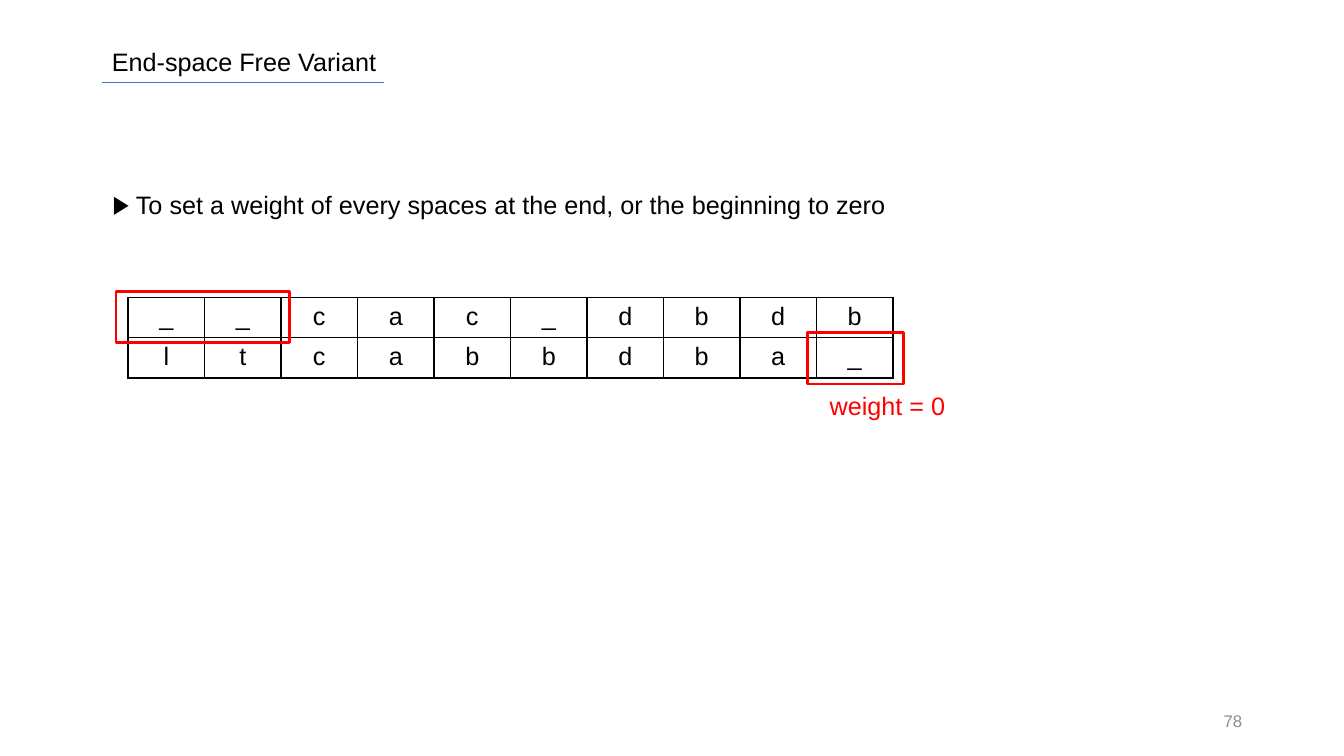
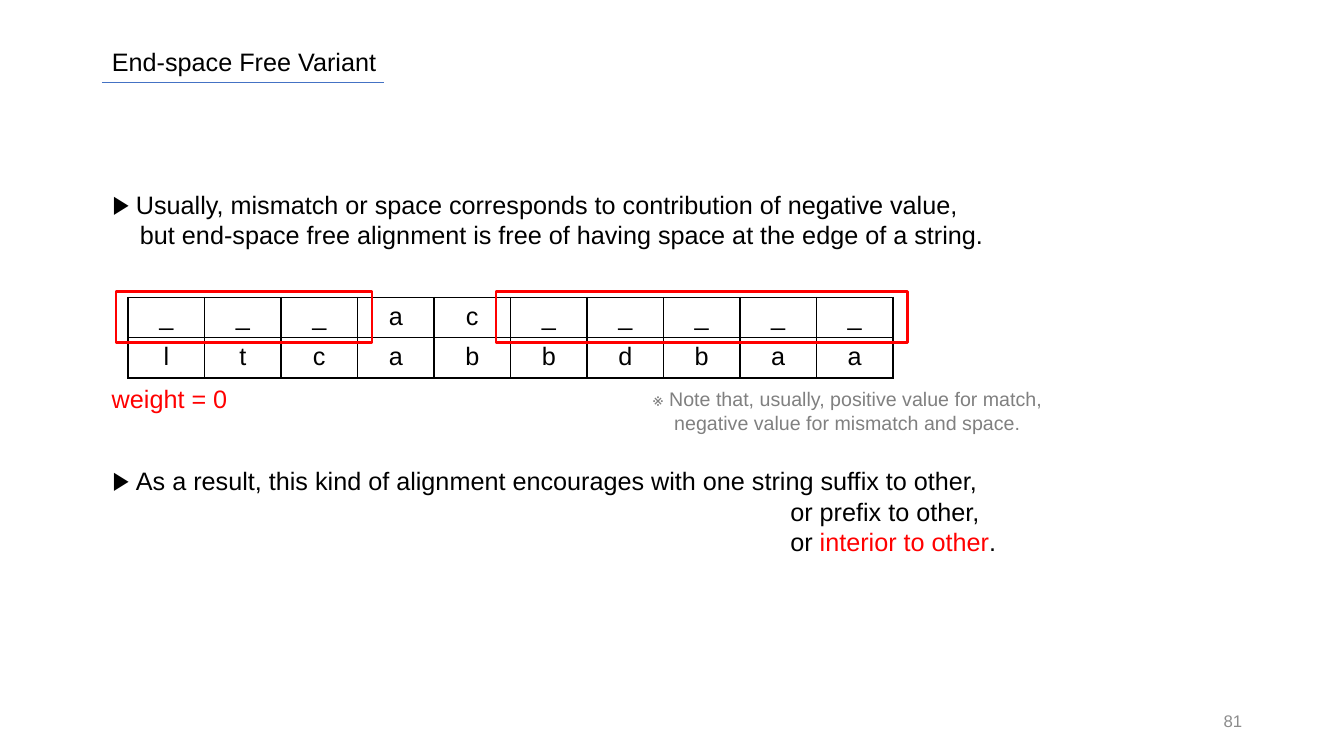
import lxml.etree
import pptx
import pptx.dml.color
import pptx.enum.shapes
import pptx.enum.text
import pptx.oxml.ns
import pptx.util

Inches = pptx.util.Inches
Pt = pptx.util.Pt
qn = pptx.oxml.ns.qn
ALIGN = pptx.enum.text.PP_ALIGN
ANCHOR = pptx.enum.text.MSO_ANCHOR

FONT = "Arial"
BLACK, WHITE, RED = "000000", "FFFFFF", "FF0000"
GRAY, NUMBER_GRAY, BLUE = "808080", "8C8C8C", "4472C4"
BULLET_INDENT = 0.23
MARGIN = 1.01
TABLE_LEFT, TABLE_TOP, TABLE_WIDTH, ROW_HEIGHT = 1.27, 2.95, 7.59, 0.4


def color(value):
    """Turn a hex string into a colour."""
    return pptx.dml.color.RGBColor.from_string(value)


def style_para(para, size=18, ink=BLACK, align=ALIGN.LEFT):
    """Set the font and alignment of a paragraph."""
    para.alignment = align
    para.font.name = FONT
    para.font.size = Pt(size)
    para.font.color.rgb = color(ink)


def indent_para(para, indent, bullet=False):
    """Indent a paragraph, with a hanging triangle bullet if asked."""
    props = para._p.get_or_add_pPr()
    props.set("marL", str(Inches(indent)))
    props.set("indent", str(-Inches(indent) if bullet else 0))
    if bullet:
        lxml.etree.SubElement(props, qn("a:buFont")).set("typeface", FONT)
        lxml.etree.SubElement(props, qn("a:buChar")).set("char", "▶")


def add_text(page, left, top, width, height, lines, **style):
    """Add a text box with one paragraph per line and return its frame."""
    box = page.shapes.add_textbox(
        Inches(left), Inches(top), Inches(width), Inches(height))
    frame = box.text_frame
    frame.word_wrap = True
    frame.text = "\n".join(lines)
    for para in frame.paragraphs:
        style_para(para, **style)
    return frame


def add_point(page, top, lines, indent=0):
    """Add a bulleted statement whose later lines share an indent."""
    frame = add_text(page, 1.02, top, 9.07, 0.1 + 0.3 * len(lines), lines)
    first, *rest = frame.paragraphs
    indent_para(first, BULLET_INDENT, bullet=True)
    for para in rest:
        indent_para(para, indent)
    return frame


def add_page(deck, title, number):
    """Add a page with an underlined title and a page number."""
    page = deck.slides.add_slide(deck.slide_layouts[5])
    box = page.shapes.title
    box.left, box.top = Inches(MARGIN), Inches(0.41)
    box.width, box.height = Inches(7.34), Inches(0.4)
    frame = box.text_frame
    frame.text = title
    frame.auto_size = pptx.enum.text.MSO_AUTO_SIZE.NONE
    frame.vertical_anchor = ANCHOR.TOP
    style_para(frame.paragraphs[0])

    rule = page.shapes.add_connector(
        pptx.enum.shapes.MSO_CONNECTOR.STRAIGHT,
        Inches(MARGIN), Inches(0.82), Inches(3.81), Inches(0.82))
    rule.line.color.rgb = color(BLUE)
    rule.line.width = Pt(0.5)
    lxml.etree.SubElement(rule._element.spPr, qn("a:effectLst"))

    footer = add_text(page, 9.42, 6.95, 3, 0.4, [str(number)],
                      size=12, ink=NUMBER_GRAY, align=ALIGN.RIGHT)
    footer.vertical_anchor = ANCHOR.MIDDLE
    return page


def add_borders(cell):
    """Draw a thin black border on every side of a cell."""
    props = cell._tc.get_or_add_tcPr()
    for side in ("a:lnL", "a:lnR", "a:lnT", "a:lnB"):
        line = lxml.etree.SubElement(props, qn(side), w=str(Pt(1)))
        fill = lxml.etree.SubElement(line, qn("a:solidFill"))
        lxml.etree.SubElement(fill, qn("a:srgbClr"), val=BLACK)


def add_alignment(page, *strings):
    """Add a table with one string per row and one character per cell."""
    count = len(strings[0])
    table = page.shapes.add_table(
        len(strings), count, Inches(TABLE_LEFT), Inches(TABLE_TOP),
        Inches(TABLE_WIDTH), Inches(ROW_HEIGHT * len(strings))).table
    table.first_row = table.horz_banding = False
    for column in table.columns:
        column.width = Inches(TABLE_WIDTH / count)
    for row, string in zip(table.rows, strings):
        row.height = Inches(ROW_HEIGHT)
        for cell, letter in zip(row.cells, string):
            cell.text = letter
            style_para(cell.text_frame.paragraphs[0], align=ALIGN.CENTER)
            add_borders(cell)
            cell.fill.solid()
            cell.fill.fore_color.rgb = color(WHITE)


def add_highlight(page, left, width, top=2.89):
    """Frame free end spaces with a red rectangle."""
    shape = page.shapes.add_shape(
        pptx.enum.shapes.MSO_SHAPE.RECTANGLE,
        Inches(left), Inches(top), Inches(width), Inches(0.51))
    shape.shadow.inherit = False
    shape.fill.background()
    shape.line.color.rgb = color(RED)
    shape.line.width = Pt(2)


def add_weight(page, left, top):
    """Add the red label for the weight of the framed spaces."""
    add_text(page, left, top, 1.68, 0.4, ["weight = 0"], ink=RED)


def build_definition(deck):
    """Build the page that defines the variant."""
    page = add_page(deck, "End-space Free Variant", 78)
    add_point(page, 1.83, [
        "To set a weight of every spaces at the end, or the beginning to zero"])
    add_alignment(page, "__cac_dbdb", "ltcabbdba_")
    add_highlight(page, 1.15, 1.72)
    add_highlight(page, 8.01, 0.95, top=3.3)
    add_weight(page, 8.13, 3.82)


def build_result(deck):
    """Build the page that explains the effect of the variant."""
    page = add_page(deck, "End-space Free Variant", 81)
    add_point(page, 1.83, [
        "Usually, mismatch or space corresponds to contribution of negative value,",
        "but end-space free alignment is free of having space at the edge of a string.",
    ], indent=0.27)
    add_alignment(page, "___ac_____", "ltcabbdbaa")
    add_highlight(page, 1.15, 2.54)
    add_highlight(page, 4.92, 4.08)
    add_weight(page, MARGIN, 3.75)
    add_text(page, 5.07, 3.79, 6.67, 0.57, [
        "※ Note that, usually, positive value for match,",
        "negative value for mismatch and space.",
    ], size=14, ink=GRAY, align=ALIGN.CENTER)
    result = add_point(page, 4.57, [
        "As a result, this kind of alignment encourages with one string suffix to other,",
        "or prefix to other,",
        "or ",
    ], indent=6.72)
    ending = result.paragraphs[-1]
    span = ending.add_run()
    span.text = "interior to other"
    span.font.color.rgb = color(RED)
    ending.add_run().text = "."


def main():
    """Build and save the deck."""
    deck = pptx.Presentation()
    deck.slide_width, deck.slide_height = Inches(13.33), Inches(7.5)
    build_definition(deck)
    build_result(deck)
    deck.save("out.pptx")


if __name__ == "__main__":
    main()
